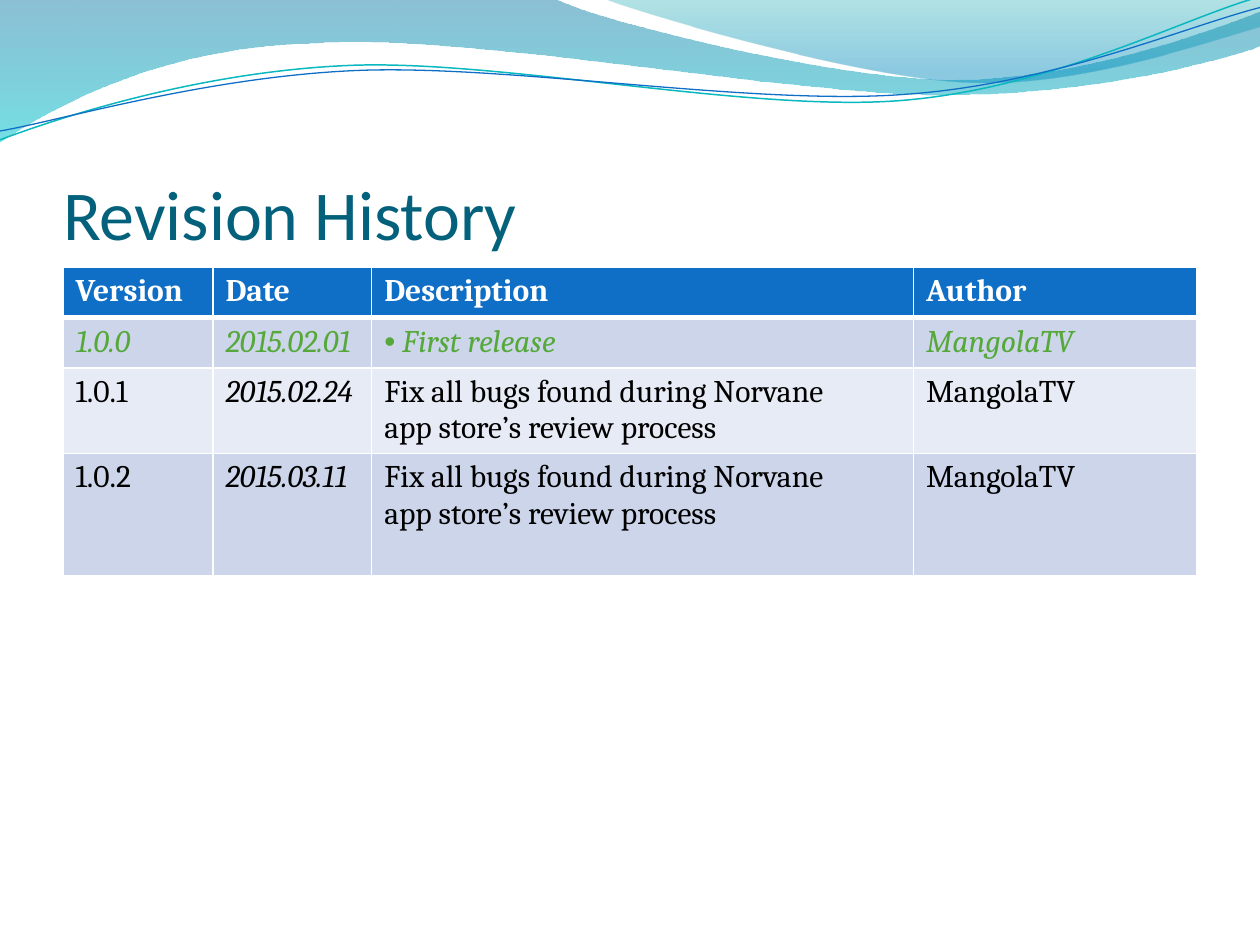
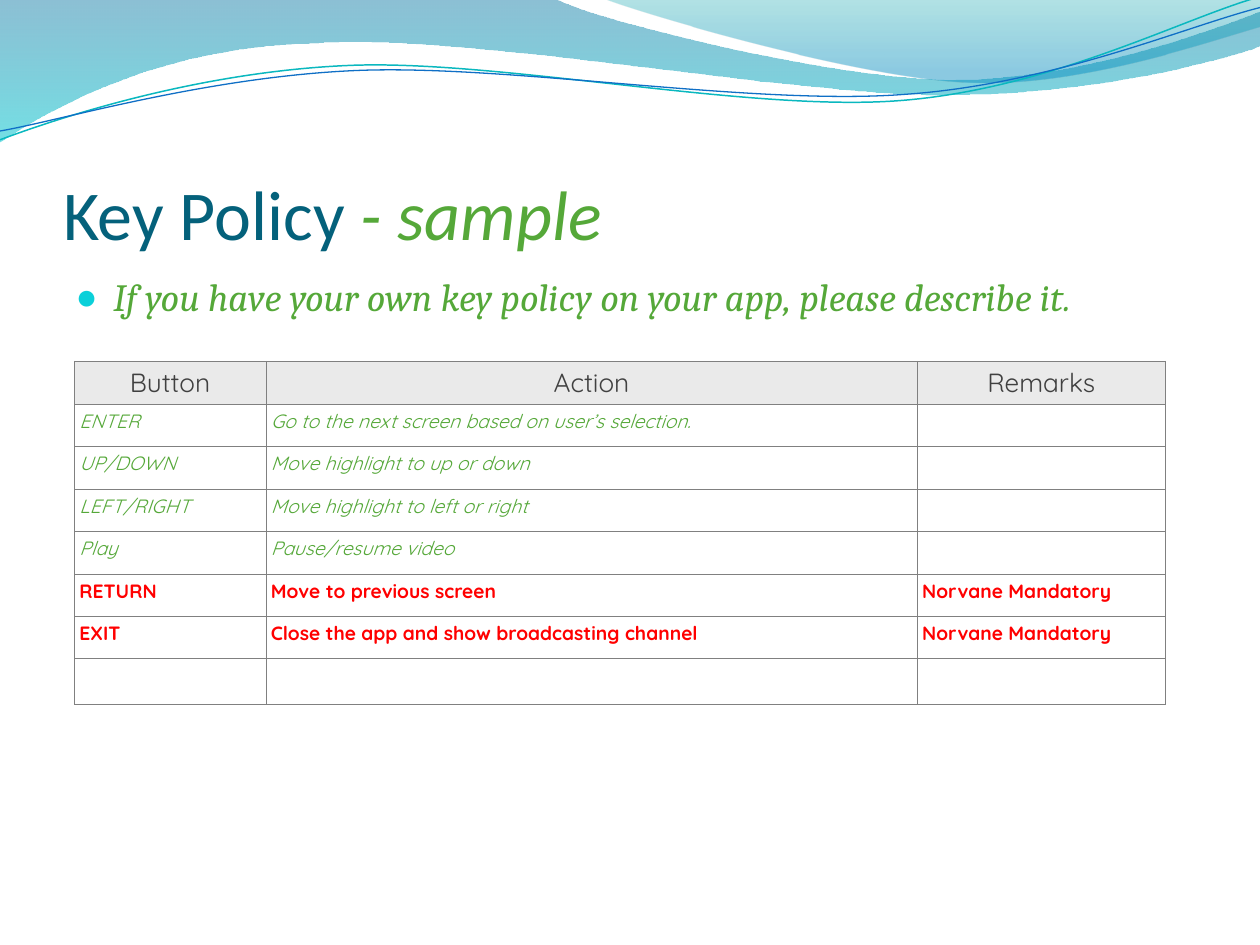
from lxml.etree import SubElement
from pptx import Presentation
from pptx.dml.color import RGBColor
from pptx.enum.text import MSO_ANCHOR, PP_ALIGN
from pptx.oxml.ns import qn
from pptx.util import Inches, Pt

TEAL, GREEN, RED = "04617B", "55A839", "FF0000"
BLUE, WHITE, BLACK = "0F6FC6", "FFFFFF", "000000"
DARK, GREY, PALE = "404040", "808080", "EAEAEA"
BANDS = ("CCD5EA", "E7EBF5")
NO_STYLE = "{2D5ABB26-0587-4C30-8999-92F81FD0307C}"

# Each outline is a start point, then line ends (2 numbers) or Bezier curves (6).
WIDE_WAVE = [(0, 0), (4.4, -0.01), (4.76, 0.17, 6.64, 0.63, 7.58, 0.63),
             (8.53, 0.63, 9.58, 0.26, 10, 0.09), (10.01, 0.36),
             (9.83, 0.44, 8.7, 0.76, 7.46, 0.75), (6.22, 0.75, 3.82, 0.28, 2.57, 0.34),
             (1.29, 0.36, 0.46, 0.83, -0.01, 1.13), (0, 0)]
RIGHT_WAVE = [(4.79, -0.01), (5.09, 0.11, 6.82, 0.62, 7.69, 0.65),
              (8.56, 0.69, 9.61, 0.32, 10, 0.21), (10, 0), (4.79, -0.01)]
TEAL_LINE = [(0, 1.11), (0.48, 0.93, 1.58, 0.57, 2.77, 0.52),
             (3.95, 0.47, 5.93, 0.89, 7.13, 0.8), (8.33, 0.71, 9.38, 0.15, 9.98, -0.02)]
BLUE_LINE = [(0, 1.04), (0.47, 0.96, 1.64, 0.61, 2.83, 0.56),
             (4.03, 0.51, 5.97, 0.84, 7.17, 0.75), (8.36, 0.67, 9.41, 0.21, 10, 0.06)]


def rgb(value):
    """Return the colour for a hex string."""
    return RGBColor.from_string(value)


def style(p, size, font, color, bold=False, italic=False):
    """Format every run of a paragraph."""
    for r in p.runs:
        f = r.font
        f.size, f.name, f.bold, f.italic = Pt(size), font, bold, italic
        f.color.rgb = rgb(color)


def add_bullet(p, char, color=None, percent=None):
    """Give a paragraph a bullet character."""
    pPr = p._p.get_or_add_pPr()
    if color:
        SubElement(SubElement(pPr, qn("a:buClr")), qn("a:srgbClr"), val=color)
    if percent:
        SubElement(pPr, qn("a:buSzPct"), val=str(percent * 1000))
    SubElement(pPr, qn("a:buFont"), typeface="Arial")
    SubElement(pPr, qn("a:buChar"), char=char)


def add_outline(slide, outline, close):
    """Draw an outline given in inches, joining each three curve points into a Bezier."""
    start, *rest = [(Inches(step[i]), Inches(step[i + 1]))
                    for step in outline for i in range(0, len(step), 2)]
    builder = slide.shapes.build_freeform(*start, scale=1.0)
    builder.add_line_segments(rest, close=close)
    sp = builder.convert_to_shape()
    sp.shadow.inherit = False
    segments = iter(list(sp._element.iter(qn("a:lnTo"))))
    for step in outline[1:]:
        first = next(segments)
        if len(step) == 6:
            first.tag = qn("a:cubicBezTo")
            for _ in range(2):
                segment = next(segments)
                first.append(segment[0])
                segment.getparent().remove(segment)
    return sp


def add_wave(slide, outline, stops):
    """Draw a wave filled from top to bottom with (position, colour, opacity) stops."""
    sp = add_outline(slide, outline, True)
    sp.line.fill.background()
    sp.fill.gradient()
    sp.fill.gradient_angle = 270
    for stop, (position, color, _) in zip(sp.fill.gradient_stops, stops):
        stop.position, stop.color.rgb = position, rgb(color)
    for clr, (_, _, opacity) in zip(sp._element.spPr.iter(qn("a:srgbClr")), stops):
        SubElement(clr, qn("a:alpha"), val=str(opacity * 1000))
    return sp


def add_curve(slide, outline, color, width):
    """Draw an open curve."""
    sp = add_outline(slide, outline, False)
    sp.fill.background()
    sp.line.color.rgb, sp.line.width = rgb(color), Pt(width)
    return sp


def add_master_waves(prs, slide):
    """Draw the top waves and move them to the master, behind everything."""
    waves = [
        add_wave(slide, WIDE_WAVE, [(0, "0074A1", 45), (1, "00C6CF", 55)]),
        add_wave(slide, RIGHT_WAVE, [(0, "00A1A9", 30), (0.8, "008BBF", 45)]),
        add_curve(slide, TEAL_LINE, "0AB8BF", 0.85),
        add_curve(slide, BLUE_LINE, BLUE, 0.75),
    ]
    for i, sp in enumerate(waves):
        prs.slide_master.shapes._spTree.insert(2 + i, sp._element)


def place(sp, box):
    """Move a shape to a (left, top, width, height) box in inches."""
    sp.left, sp.top, sp.width, sp.height = map(Inches, box)


def set_title(slide, text, sample=""):
    """Fill the title, with an optional green italic ending."""
    sp = slide.shapes.title
    place(sp, (0.5, 0.77, 9, 1.25))
    tf = sp.text_frame
    tf.margin_left = tf.margin_right = tf.margin_bottom = 0
    tf.margin_top = Inches(0.05)
    tf.vertical_anchor = MSO_ANCHOR.BOTTOM
    p = tf.paragraphs[0]
    p.text, p.alignment = text, PP_ALIGN.LEFT
    if sample:
        p.add_run().text = sample
    style(p, 40, "Calibri", TEAL)
    if sample:
        f = p.runs[1].font
        f.color.rgb, f.italic = rgb(GREEN), True


def set_borders(cell, color, **widths):
    """Set the L, R, T and B borders of a cell in points; 0 means none."""
    tcPr = cell._tc.get_or_add_tcPr()
    for i, side in enumerate("LRTB"):
        ln = SubElement(tcPr, qn("a:ln" + side), w=str(Pt(widths[side])))
        if widths[side]:
            SubElement(SubElement(ln, qn("a:solidFill")), qn("a:srgbClr"), val=color)
        else:
            SubElement(ln, qn("a:noFill"))
        tcPr.insert(i, ln)


def add_plain_table(slide, left, top, cols, rows):
    """Add a table without a style, sized by its column widths and row heights."""
    frame = slide.shapes.add_table(len(rows), len(cols), Inches(left), Inches(top),
                                   Inches(sum(cols)), Inches(sum(rows)))
    next(frame._element.iter(qn("a:tableStyleId"))).text = NO_STYLE
    table = frame.table
    for col, width in zip(table.columns, cols):
        col.width = Inches(width)
    for row, height in zip(table.rows, rows):
        row.height = Inches(height)
    return table


def add_revision_table(slide, left, top, data):
    """Add the banded revision table."""
    table = add_plain_table(slide, left, top, (1.19, 1.26, 4.3, 2.25),
                            (0.4, 0.4, 0.67, 0.97))
    for i, row in enumerate(data):
        color = (WHITE, GREEN, BLACK, BLACK)[i]
        for j, text in enumerate(row):
            cell = table.cell(i, j)
            cell.text = text
            cell.fill.solid()
            cell.fill.fore_color.rgb = rgb(BANDS[(i - 1) % 2] if i else BLUE)
            set_borders(cell, WHITE, L=1, R=1, T=3 if i == 1 else 1, B=1 if i else 3)
            for p in cell.text_frame.paragraphs:
                style(p, 18, "Cambria", color, bold=i == 0,
                      italic=i == 1 or (i > 1 and j == 1))
    add_bullet(table.cell(1, 2).text_frame.paragraphs[0], "•")


def add_key_table(slide, left, top, data):
    """Add the key table, whose first row is an empty one without a frame."""
    inner = len(data) - 2
    heights = [0.4] + [2.36 / inner] * inner + [0.36]
    table = add_plain_table(slide, left, top, (1.52, 5.17, 1.97), heights)
    for i, row in enumerate(data):
        for j, text in enumerate(row):
            cell = table.cell(i, j)
            if i == 0:
                cell.fill.background()
                set_borders(cell, GREY, L=0, R=0, T=0, B=0.25)
                continue
            header, mandatory = i == 1, i in (6, 7)
            cell.fill.solid()
            cell.fill.fore_color.rgb = rgb(PALE if header else WHITE)
            set_borders(cell, GREY, L=0.25, R=0.25, T=0.25, B=0.25)
            cell.margin_left = cell.margin_right = Inches(0.04)
            cell.margin_top = cell.margin_bottom = Inches(0.04)
            p = cell.text_frame.paragraphs[0]
            if not text:
                SubElement(p._p, qn("a:endParaRPr"), sz="1100")
                continue
            p.text = text
            size = 15 if header else 11
            p.space_before = Pt(size * 0.2)
            if header:
                p.alignment = PP_ALIGN.CENTER
            style(p, size, "Quicksand", DARK if header else RED if mandatory else GREEN,
                  bold=mandatory, italic=not header and not mandatory)


def set_body(slide, text):
    """Fill the body placeholder with one bulleted line."""
    sp = slide.placeholders[1]
    place(sp, (0.5, 2.12, 9, 4.8))
    p = sp.text_frame.paragraphs[0]
    p.text, p.space_before = text, Pt(4.4)
    pPr = p._p.get_or_add_pPr()
    pPr.set("marL", str(Inches(0.3)))
    pPr.set("indent", str(Inches(-0.3)))
    add_bullet(p, "●", "0BD0D9", 95)
    style(p, 22, "Cambria", GREEN, italic=True)


def build_revision_slide(prs):
    """Build the revision history slide."""
    slide = prs.slides.add_slide(prs.slide_layouts[5])
    add_master_waves(prs, slide)
    set_title(slide, "Revision History")
    fix = "Fix all bugs found during Norvane \napp store’s review process"
    add_revision_table(slide, 0.5, 2.12, [
        ("Version", "Date", "Description", "Author"),
        ("1.0.0", "2015.02.01", " First release", "MangolaTV"),
        ("1.0.1", "2015.02.24", fix, "MangolaTV"),
        ("1.0.2", "2015.03.11", fix, "MangolaTV"),
    ])


def build_key_slide(prs):
    """Build the key policy slide."""
    slide = prs.slides.add_slide(prs.slide_layouts[1])
    set_title(slide, "Key Policy", " - sample")
    set_body(slide, "If you have your own key policy on your app, please describe it.")
    add_key_table(slide, 0.59, 2.46, [
        ("", "", ""),
        ("Button", "Action", "Remarks"),
        ("ENTER", "Go to the next screen based on user’s selection.", ""),
        ("UP/DOWN", "Move highlight to up or down", ""),
        ("LEFT/RIGHT", "Move highlight to left or right", ""),
        ("Play", "Pause/resume video", ""),
        ("RETURN", "Move to previous screen", "Norvane Mandatory"),
        ("EXIT", "Close the app and show broadcasting channel", "Norvane Mandatory"),
        ("", "", ""),
    ])


prs = Presentation()
prs.slide_width, prs.slide_height = Inches(10), Inches(7.5)
build_revision_slide(prs)
build_key_slide(prs)
prs.save("out.pptx")
